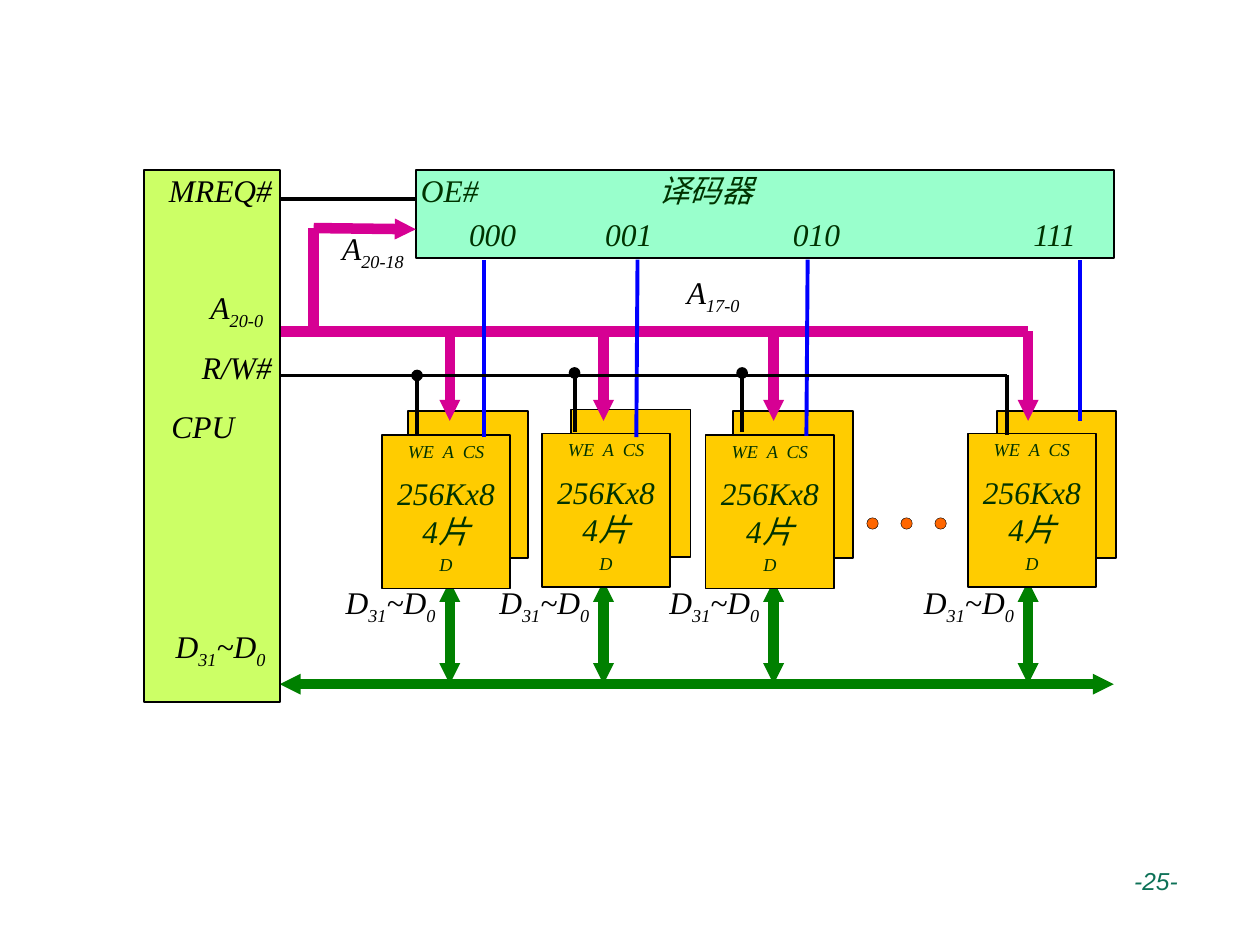
from pptx import Presentation
from pptx.util import Inches, Pt
from pptx.dml.color import RGBColor
from pptx.enum.shapes import MSO_SHAPE, MSO_CONNECTOR
from pptx.enum.text import PP_ALIGN, MSO_ANCHOR
from pptx.oxml.ns import qn
from lxml.etree import SubElement

COLORS = {
    "black": "000000", "ink": "003300", "chip": "FFCC00", "cpu": "CCFF66",
    "decoder": "99FFCC", "dot": "FF6600", "address": "D60093",
    "data": "008000", "select": "0000FF", "number": "0D7157",
}
DATA = [("D", 0), ("31", -25), ("~D", 0), ("0", -25)]
CHIP_TEXT = [[("WE  A  CS", 30)], [("256Kx8", 0)], [("4片", 0)], [("D", 30)]]
LABEL_W, LABEL_H = 0.94, 0.47
BUS_Y, DATA_Y, RW_Y = 2.63, 5.43, 2.98
BUS_XS = [3.57, 4.79, 6.14, 8.16]
CHIPS = [
    ((3.03, 3.45), (3.24, 3.26)),
    ((4.30, 3.44), (4.53, 3.25)),
    ((5.60, 3.45), (5.82, 3.26)),
    ((7.68, 3.44), (7.91, 3.26)),
]
SELECTS = [(3.84, 3.84, 3.47), (5.05, 5.06, 3.47), (6.40, 6.41, 3.46), (8.57, 8.57, 3.34)]
WRITES = [(3.31, 3.45, RW_Y), (4.56, 3.43, 2.96), (5.89, 3.43, 2.96)]


def rgb(name):
    return RGBColor.from_string(COLORS[name])


def write(tf, paragraphs, color, align=PP_ALIGN.CENTER, size=18, font="Times New Roman", margin=0.01):
    tf.word_wrap = True
    tf.vertical_anchor = MSO_ANCHOR.TOP
    tf.margin_left = tf.margin_right = Inches(margin)
    tf.margin_top = tf.margin_bottom = Inches(min(margin, 0.05))
    for i, runs in enumerate(paragraphs):
        p = tf.paragraphs[0] if i == 0 else tf.add_paragraph()
        p.alignment = align
        for text, base in runs:
            r = p.add_run()
            r.text = text
            r.font.size = Pt(size)
            r.font.name = font
            r.font.italic = True
            r.font.color.rgb = rgb(color)
            if base:
                r.font._element.set("baseline", str(base * 1000))


def add_label(s, x, y, runs, w=LABEL_W, h=LABEL_H, color="black", **style):
    tb = s.shapes.add_textbox(Inches(x), Inches(y), Inches(w), Inches(h))
    write(tb.text_frame, [runs], color, **style)


def add_box(s, x, y, w, h, fill, kind=MSO_SHAPE.RECTANGLE, line=1):
    sp = s.shapes.add_shape(kind, Inches(x), Inches(y), Inches(w), Inches(h))
    sp.shadow.inherit = False
    sp.fill.solid()
    sp.fill.fore_color.rgb = rgb(fill)
    sp.line.color.rgb = rgb("black")
    sp.line.width = Pt(line)
    return sp


def add_line(s, x1, y1, x2, y2, color="black", width=2.25, head=None, tail=None):
    cn = s.shapes.add_connector(MSO_CONNECTOR.STRAIGHT, Inches(x1), Inches(y1), Inches(x2), Inches(y2))
    cn.line.color.rgb = rgb(color)
    cn.line.width = Pt(width)
    ln = cn.line._get_or_add_ln()
    for tag, end in (("a:headEnd", head), ("a:tailEnd", tail)):
        if end:
            size = "sm" if color in ("address", "data") else "med"
            SubElement(ln, qn(tag), type=end, w=size, len=size)
    SubElement(cn._element.spPr, qn("a:effectLst"))


def add_decoder(s, x, y, w, h):
    add_box(s, x, y, w, h, "decoder")
    for text, dx, dy, width in [
        ("OE#", 0, 0, 0.54), ("译码器", 1.22, 0, 2.16),
        ("000", 0, 0.35, 1.22), ("001", 1.08, 0.35, 1.22),
        ("010", 2.57, 0.35, 1.22), ("111", 4.46, 0.35, 1.22),
    ]:
        add_label(s, x + dx, y + dy, [(text, 0)], w=width, color="ink")


def add_cpu(s, x, y, w, h):
    add_box(s, x, y, w, h, "cpu")
    for runs, dx, dy in [
        ([("MREQ#", 0)], 0.14, 0), ([("A", 0), ("20-0", -25)], 0.27, 0.93),
        ([("R/W#", 0)], 0.27, 1.4), ([("CPU", 0)], 0, 1.87), (DATA, 0.14, 3.62),
    ]:
        add_label(s, x + dx, y + dy, runs)


def add_memory(s):
    for x in BUS_XS:
        add_line(s, x, 4.61, x, DATA_Y, "data", 6, "triangle", "triangle")
        add_label(s, x - LABEL_W, 4.62, DATA)
    for front, back in CHIPS:
        add_box(s, *back, 0.95, 1.17, "chip")
        chip = add_box(s, *front, 1.02, 1.22, "chip")
        write(chip.text_frame, CHIP_TEXT, "ink")
    for i in range(3):
        add_box(s, 6.88 + 0.27 * i, 4.11, 0.09, 0.09, "dot", MSO_SHAPE.OVAL, 0.25)


def add_buses(s, left, right):
    last = BUS_XS[-1]
    add_line(s, left, BUS_Y, last, BUS_Y, "address", 6)
    add_line(s, 2.49, 1.81, 2.49, BUS_Y, "address", 6)
    add_line(s, 2.49, 1.81, 3.3, 1.82, "address", 6, tail="triangle")
    add_line(s, left, DATA_Y, right, DATA_Y, "data", 6, "triangle", "triangle")
    add_label(s, 2.49, 1.81, [("A", 0), ("20-18", -25)])
    add_label(s, 5.19, 2.16, [("A", 0), ("17-0", -25)])


def add_signals(s, left):
    add_line(s, left, 1.58, 3.3, 1.58)
    for x1, x2, y in SELECTS:
        add_line(s, x1, y, x2, 2.06, "select")
    for x in BUS_XS:
        add_line(s, x, BUS_Y, x, 3.34, "address", 6, tail="triangle")
    add_line(s, left, RW_Y, 7.99, RW_Y)
    add_line(s, 7.99, 3.45, 7.99, RW_Y)
    for x, y1, y2 in WRITES:
        add_line(s, x, y1, x, y2, tail="oval")


def main():
    prs = Presentation()
    prs.slide_width, prs.slide_height = Inches(10), Inches(7.5)
    s = prs.slides.add_slide(prs.slide_layouts[6])
    add_memory(s)
    add_decoder(s, 3.3, 1.35, 5.54, 0.7)
    add_buses(s, 2.22, 8.84)
    add_cpu(s, 1.14, 1.35, 1.08, 4.22)
    add_signals(s, 2.22)
    add_label(s, 8.39, 6.82, [(" -25- ", 0)], w=1.11, h=0.52, color="number",
              align=PP_ALIGN.RIGHT, size=14, font="Arial", margin=0.1)
    prs.save("out.pptx")


if __name__ == "__main__":
    main()
